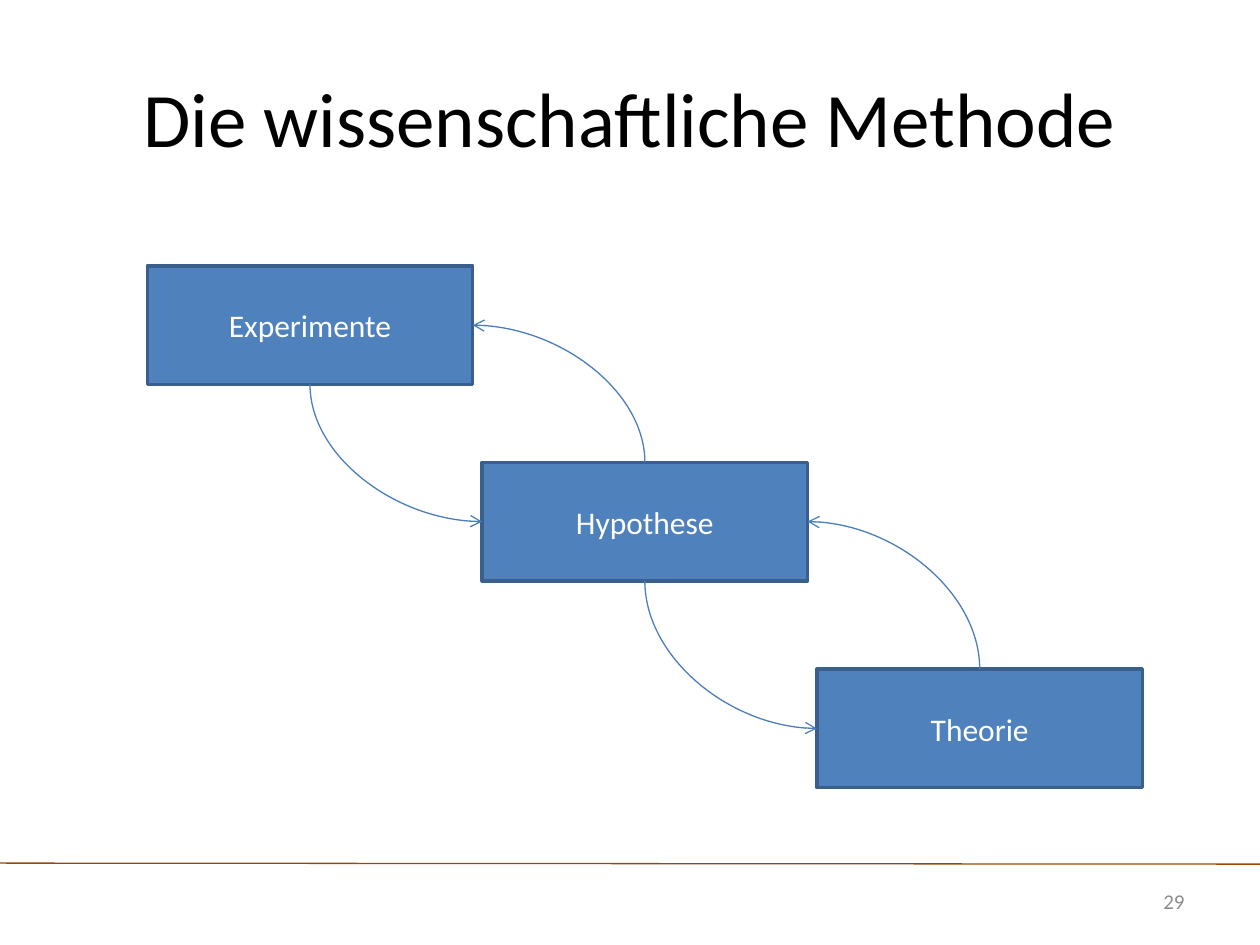
from pptx import Presentation
from pptx.dml.color import RGBColor as Rgb
from pptx.enum.shapes import MSO_CONNECTOR as Link, MSO_SHAPE as Form
from pptx.enum.text import MSO_ANCHOR as Anchor, PP_ALIGN as Align
from pptx.oxml.ns import qn
from pptx.util import Cm, Pt
from lxml.etree import SubElement as Sub

HUES = {
    "ink": "000000",
    "grey": "8C8C8C",
    "white": "FFFFFF",
    "box": "4F81BD",
    "edge": "3A5F8C",
    "arrow": "4B7EBC",
    "rule": "984807",
}
TOP, LEFT, BOTTOM, RIGHT = range(4)


def write(shape, text, size=18, hue="white", align=Align.CENTER):
    frame = shape.text_frame
    frame.word_wrap = True
    frame.vertical_anchor = Anchor.MIDDLE
    par = frame.paragraphs[0]
    par.alignment = align
    run = par.add_run()
    run.text = text
    run.font.name = "Calibri"
    run.font.size = Pt(size)
    run.font.color.rgb = Rgb.from_string(HUES[hue])


class Slide:
    """Draws styled elements on the current slide."""

    def __init__(self, page):
        self.shapes = page.shapes

    def label(self, text, x, y, w, h, **style):
        area = self.shapes.add_textbox(Cm(x), Cm(y), Cm(w), Cm(h))
        write(area, text, **style)

    def box(self, text, x, y, w=6.56, h=2.39):
        rect = self.shapes.add_shape(Form.RECTANGLE, Cm(x), Cm(y), Cm(w), Cm(h))
        rect.shadow.inherit = False
        rect.fill.solid()
        rect.fill.fore_color.rgb = Rgb.from_string(HUES["box"])
        self.stroke(rect, "edge", 2)
        write(rect, text)
        return rect

    def stroke(self, shape, hue, width=0.75):
        shape.line.color.rgb = Rgb.from_string(HUES[hue])
        shape.line.width = Pt(width)

    def line(self, kind, hue, x1=0, y1=0, x2=0, y2=0):
        line = self.shapes.add_connector(kind, Cm(x1), Cm(y1), Cm(x2), Cm(y2))
        self.stroke(line, hue)
        Sub(line._element.spPr, qn("a:effectLst"))
        return line

    def arrow(self, start, out, end, into):
        line = self.line(Link.CURVE, "arrow")
        line.begin_connect(start, out)
        line.end_connect(end, into)
        self.turn(line)
        Sub(line.line._get_or_add_ln(), qn("a:tailEnd"), type="arrow")

    def turn(self, line):
        x1, y1, x2, y2 = line.begin_x, line.begin_y, line.end_x, line.end_y
        mid_x, mid_y = (x1 + x2) // 2, (y1 + y2) // 2
        half_x, half_y = (x2 - x1) // 2, (y2 - y1) // 2
        line.begin_x, line.end_x = mid_x + half_y, mid_x - half_y
        line.begin_y, line.end_y = mid_y - half_x, mid_y + half_x
        props = line._element.spPr
        props.find(qn("a:xfrm")).set("rot", str(270 * 60000))
        props.find(qn("a:prstGeom")).set("prst", "curvedConnector2")


def main():
    deck = Presentation()
    deck.slide_width, deck.slide_height = Cm(25.4), Cm(19.05)
    slide = Slide(deck.slides.add_slide(deck.slide_layouts[6]))

    slide.line(Link.STRAIGHT, "rule", 0, 17.4, 25.4, 17.42)
    slide.label("Die wissenschaftliche Methode", 1.27, 0.76, 22.86, 3.18,
                size=44, hue="ink")
    slide.label("29", 21.82, 17.65, 2.31, 1.02,
                size=12, hue="grey", align=Align.RIGHT)

    steps = [("Theorie", 13.49), ("Hypothese", 9.32), ("Experimente", 5.36)]
    boxes = [slide.box(text, 16.47 - 6.75 * i, y)
             for i, (text, y) in enumerate(steps)][::-1]
    pairs = list(zip(boxes, boxes[1:]))
    for high, low in pairs:
        slide.arrow(low, TOP, high, RIGHT)
    for high, low in pairs:
        slide.arrow(high, BOTTOM, low, LEFT)

    deck.save("out.pptx")


if __name__ == "__main__":
    main()
